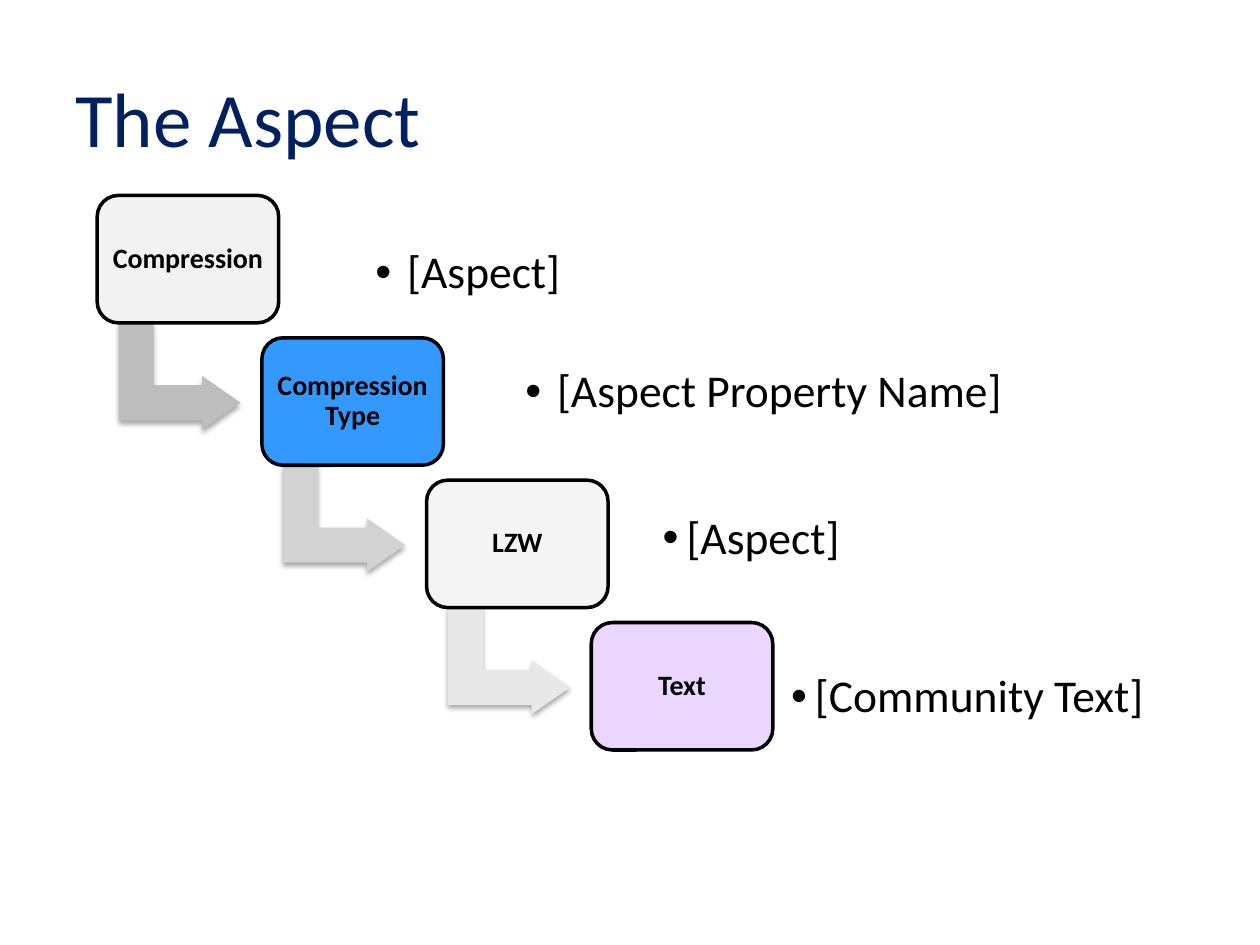
from typing import NamedTuple

from lxml.etree import SubElement
from pptx import Presentation
from pptx.dml.color import RGBColor
from pptx.enum.shapes import MSO_SHAPE as Shp
from pptx.enum.text import MSO_ANCHOR as Anchor, PP_ALIGN as Align
from pptx.oxml.ns import qn
from pptx.util import Cm, Pt

FONT = "Calibri"
NAVY = RGBColor(0x00, 0x20, 0x60)
BLACK = RGBColor(0x00, 0x00, 0x00)
PALE = RGBColor(0xF2, 0xF2, 0xF2)
BLUE = RGBColor(0x33, 0x99, 0xFF)
VIOLET = RGBColor(0x99, 0x33, 0xFF)
ARROW_GREYS = [RGBColor(v, v, v) for v in (0xBD, 0xD2, 0xE8)]

LEFT, TOP = 1.96, 3.94
STEP_X, STEP_Y = 3.32, 2.87
BOX_W, BOX_H = 3.66, 2.57


class Step(NamedTuple):
    text: str
    fill: RGBColor
    opacity: int = 100


class Label(NamedTuple):
    text: str
    left: float
    top: float
    width: float
    height: float
    inset: float
    indent: float


STEPS = [
    Step("Compression", PALE),
    Step("Compression Type", BLUE),
    Step("LZW", PALE, 81),
    Step("Text", VIOLET, 20),
]
LABELS = [
    Label("[Community Text]", 15.7, 12.73, 9.19, 2.69, 0.25, 0.48),
    Label("[Aspect Property Name]", 10.31, 6.53, 11.35, 2.79, 0.28, 0.64),
    Label("[Aspect]", 7.29, 4.14, 5.23, 2.77, 0.28, 0.64),
    Label("[Aspect]", 13.11, 9.53, 9.19, 2.69, 0.25, 0.48),
]


def write(sp, text: str, size: int, color: RGBColor, inset: float = 0.25,
          bold: bool = False, align: Align = Align.LEFT, spacing: float = 1.0):
    tf = sp.text_frame
    tf.word_wrap = True
    tf.vertical_anchor = Anchor.MIDDLE
    tf.margin_left = tf.margin_right = Cm(inset)
    tf.margin_top = tf.margin_bottom = Cm(inset)
    p = tf.paragraphs[0]
    p.alignment = align
    p.line_spacing = spacing
    r = p.add_run()
    r.text = text
    r.font.name = FONT
    r.font.size = Pt(size)
    r.font.bold = bold
    r.font.color.rgb = color
    return p


def add_title(s, text: str) -> None:
    sp = s.shapes.add_textbox(Cm(1.27), Cm(0.76), Cm(22.86), Cm(3.18))
    write(sp, text, 44, NAVY)


def add_shadow(sp) -> None:
    effects = sp._element.spPr.find(qn("a:effectLst"))
    shadow = SubElement(effects, qn("a:outerShdw"), blurRad=str(Pt(3.1)),
                        dist=str(Pt(1.8)), dir="5400000", rotWithShape="0")
    color = SubElement(shadow, qn("a:srgbClr"), val="000000")
    SubElement(color, qn("a:alpha"), val="35000")


def add_arrow(s, x: float, y: float, color: RGBColor) -> None:
    sp = s.shapes.add_shape(Shp.BENT_UP_ARROW, Cm(x + 0.58), Cm(y + 2.41),
                            Cm(2.16), Cm(2.46))
    sp.rotation = 90
    for i, value in enumerate((0.328, 0.25, 0.358)):
        sp.adjustments[i] = value
    sp.fill.solid()
    sp.fill.fore_color.rgb = color
    sp.line.fill.background()
    sp.shadow.inherit = False
    add_shadow(sp)


def add_box(s, x: float, y: float, step: Step) -> None:
    sp = s.shapes.add_shape(Shp.ROUNDED_RECTANGLE, Cm(x), Cm(y),
                            Cm(BOX_W), Cm(BOX_H))
    sp.shadow.inherit = False
    sp.fill.solid()
    sp.fill.fore_color.rgb = step.fill
    if step.opacity < 100:
        color = sp._element.spPr.find(qn("a:solidFill")).find(qn("a:srgbClr"))
        SubElement(color, qn("a:alpha"), val=str(step.opacity * 1000))
    sp.line.color.rgb = BLACK
    sp.line.width = Pt(2)
    write(sp, step.text, 16, BLACK, 0.15, True, Align.CENTER, 0.9)


def add_label(s, label: Label) -> None:
    sp = s.shapes.add_textbox(Cm(label.left), Cm(label.top),
                              Cm(label.width), Cm(label.height))
    p = write(sp, label.text, 26, BLACK, label.inset, spacing=0.9)
    pPr = p._p.get_or_add_pPr()
    pPr.set("marL", str(Cm(label.indent)))
    pPr.set("indent", str(-Cm(label.indent)))
    SubElement(pPr, qn("a:buFont"), typeface="Arial")
    SubElement(pPr, qn("a:buChar"), char="•")


def main() -> None:
    prs = Presentation()
    prs.slide_width, prs.slide_height = Cm(25.4), Cm(19.05)
    s = prs.slides.add_slide(prs.slide_layouts[6])
    add_title(s, "The Aspect")
    for i, step in enumerate(STEPS):
        x, y = LEFT + i * STEP_X, TOP + i * STEP_Y
        if i < len(ARROW_GREYS):
            add_arrow(s, x, y, ARROW_GREYS[i])
        add_box(s, x, y, step)
    for label in LABELS:
        add_label(s, label)
    prs.save("out.pptx")


if __name__ == "__main__":
    main()
